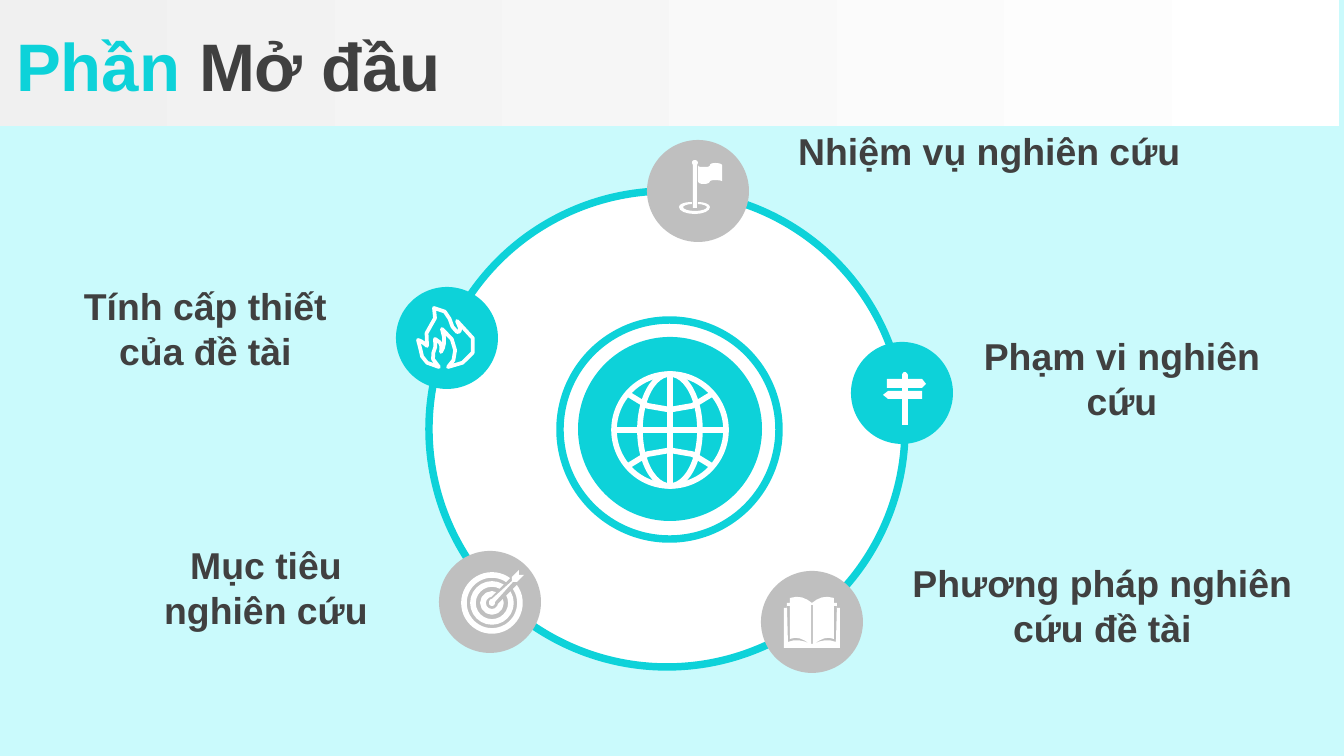
from dataclasses import dataclass

from lxml.etree import SubElement
from pptx import Presentation
from pptx.dml.color import RGBColor
from pptx.enum.shapes import MSO_CONNECTOR as Wire, MSO_SHAPE as Kind
from pptx.enum.text import MSO_ANCHOR as Anchor, MSO_AUTO_SIZE as Fit, PP_ALIGN as Align
from pptx.oxml.ns import qn
from pptx.util import Pt

SCALE = 914400 / 134.4
FONT = "Arial"
CYAN, GRAY, DARK, WHITE, PALE = "0DD2D9", "BFBFBF", "404040", "FFFFFF", "CAFAFC"
Point = tuple[float, float]
Loop = list[Point]


@dataclass
class Icon:
    x: int
    y: int
    loops: list[Loop]
    fill: str = WHITE
    line: str = ""
    width: int = 2
    close: bool = True


@dataclass
class Disc:
    x: int
    y: int
    w: int
    h: int
    fill: str
    line: str = ""
    width: int = 4


@dataclass
class Bar:
    start: tuple[int, int]
    end: tuple[int, int]
    line: str
    width: int


@dataclass
class Label:
    text: str
    x: int
    y: int
    w: int
    h: int
    align: Align = Align.CENTER


def emu(px: float) -> int:
    """Turn pixels into EMU."""
    return round(px * SCALE)


def color(code: str) -> RGBColor:
    """Turn a hex string into a colour."""
    return RGBColor.from_string(code)


def ring(x: int, y: int, r: int, fill: str, line: str = "", width: int = 4) -> Disc:
    """Describe a circle by its centre and radius."""
    return Disc(x - r, y - r, 2 * r, 2 * r, fill, line, width)


def trace(text: str) -> list[Loop]:
    """Flatten M, L and C steps into loops of points."""
    loops: list[Loop] = []
    for mark in "MLC":
        text = text.replace(mark, "|" + mark)
    for step in text.split("|")[1:]:
        pts = [tuple(int(n) for n in pair.split(",")) for pair in step[1:].split()]
        if step[0] == "M":
            loops.append(pts)
        elif step[0] == "L":
            loops[-1] += pts
        else:
            ends = [loops[-1][-1], *pts]
            for t in (0.25, 0.5, 0.75, 1):
                part = ((1 - t) ** 3, 3 * t * (1 - t) ** 2, 3 * t * t * (1 - t), t ** 3)
                loops[-1].append(tuple(sum(a * p[i] for a, p in zip(part, ends)) for i in (0, 1)))
    return loops


def flip(loops: list[Loop], sides: list[Point]) -> list[Loop]:
    """Repeat loops once for each pair of signs."""
    return [[(a * x, b * y) for x, y in loop] for a, b in sides for loop in loops]


def paint(shape, fill: str, line: str = "", width: int = 4) -> None:
    """Set fill and line without a shadow."""
    shape.shadow.inherit = False
    if fill:
        shape.fill.solid()
        shape.fill.fore_color.rgb = color(fill)
    else:
        shape.fill.background()
    if line:
        shape.line.color.rgb = color(line)
        shape.line.width = Pt(width)
    else:
        shape.line.fill.background()


def draw_disc(slide, disc: Disc) -> None:
    """Draw one ellipse."""
    box = emu(disc.x), emu(disc.y), emu(disc.w), emu(disc.h)
    paint(slide.shapes.add_shape(Kind.OVAL, *box), disc.fill, disc.line, disc.width)


def draw_bar(slide, bar: Bar) -> None:
    """Draw one straight line."""
    ends = [emu(n) for n in (*bar.start, *bar.end)]
    wire = slide.shapes.add_connector(Wire.STRAIGHT, *ends)
    wire.line.color.rgb = color(bar.line)
    wire.line.width = Pt(bar.width)
    SubElement(wire.element.spPr, qn("a:effectLst"))


def draw_icon(slide, icon: Icon) -> None:
    """Draw all loops of an icon as one freeform."""
    loops = [[(emu(icon.x + x), emu(icon.y + y)) for x, y in loop] for loop in icon.loops]
    pen = slide.shapes.build_freeform(*loops[0][0], scale=1)
    pen.add_line_segments(loops[0][1:], close=icon.close)
    for loop in loops[1:]:
        pen.move_to(*loop[0])
        pen.add_line_segments(loop[1:], close=icon.close)
    paint(pen.convert_to_shape(), icon.fill, icon.line, icon.width)


def draw_label(slide, label: Label) -> None:
    """Draw one bold caption."""
    box = emu(label.x), emu(label.y), emu(label.w), emu(label.h)
    frame = slide.shapes.add_textbox(*box).text_frame
    frame.word_wrap = True
    frame.auto_size = Fit.SHAPE_TO_FIT_TEXT
    para = frame.paragraphs[0]
    para.text, para.alignment = label.text, label.align
    font = para.font
    font.name, font.size, font.bold = FONT, Pt(20), True
    font.color.rgb = color(DARK)


def draw_head(slide) -> None:
    """Draw the gradient band and the two-colour title."""
    band = slide.shapes.add_shape(Kind.RECTANGLE, 0, 0, emu(1339), emu(126))
    paint(band, WHITE)
    band.fill.gradient()
    band.fill.gradient_angle = 0
    for stop, code, spot in zip(band.fill.gradient_stops, ("F0F0F0", WHITE), (0, 1)):
        stop.color.rgb, stop.position = color(code), spot
    slide.shapes.element.insert(2, band.element)

    title = slide.shapes.title
    title.left, title.top, title.width, title.height = emu(-16), emu(8), emu(1344), emu(114)
    frame = title.text_frame
    frame.auto_size, frame.vertical_anchor = Fit.NONE, Anchor.MIDDLE
    frame.margin_left = emu(32)
    para = frame.paragraphs[0]
    para.alignment = Align.LEFT
    para.font.name, para.font.size, para.font.bold = FONT, Pt(36), True
    for text, code in (("Phần ", CYAN), ("Mở đầu", DARK)):
        run = para.add_run()
        run.text = text
        run.font.color.rgb = color(code)


ARCS = flip(trace("M-42,-36 C-20,-15 20,-15 42,-36"), [(1, 1), (1, -1)])
PAGE = trace("M0,-19 C6,-24 13,-27 22,-24 L22,-19 25,-19 25,-14 28,-14 28,26 0,26"
             "M22,-16 L25,-16 24,20 C17,17 9,18 2,22 C9,17 15,14 22,17"
             "M0,-17 L1,-17 1,22 0,22")
BOOK = flip(PAGE, [(1, 1), (-1, 1)])
ARROW = trace("M29,-32 L29,-27 34,-27 27,-20 23,-20 5,0 C5,3 4,4 2,4 C0,4 -1,3 -1,1 "
              "C-1,-1 0,-3 2,-3 L22,-21 22,-25")
FLAG = trace("M-6,11 L-6,13 C-11,13 -15,15 -15,16 C-15,18 -10,20 -3,20 C4,20 9,18 9,16 "
             "C9,15 5,13 0,13 L0,11 C6,11 12,13 12,16 C12,20 5,23 -3,23 "
             "C-12,23 -19,20 -19,16 C-19,13 -14,11 -6,11"
             "M17,-28 C21,-28 24,-27 24,-26 L24,-10 C24,-10 21,-11 17,-11 "
             "C14,-11 12,-10 12,-10 C12,-8 9,-7 6,-7 C2,-7 0,-8 0,-10 L0,-26 "
             "C0,-24 2,-24 6,-24 C9,-24 12,-24 12,-26 C12,-27 14,-28 17,-28"
             "M-3,-31 C-2,-31 0,-30 0,-28 L-1,-26 -1,17 -5,17 -5,-26 -6,-28 "
             "C-6,-30 -5,-31 -3,-31")
SIGN = trace("M3,-21 C4,-21 6,-19 6,-17 L6,-14 20,-14 24,-9 20,-5 6,-5 6,-2 20,-2 20,6 "
             "6,6 6,32 0,32 0,6 -14,6 -19,2 -14,-2 0,-2 0,-5 -15,-5 -15,-14 0,-14 0,-17 "
             "C0,-19 1,-21 3,-21")
FIRE = trace("M-8,29 C-30,25 -24,14 -29,2 C-25,2 -18,11 -20,7 C-26,-13 -6,-13 -13,-30 "
             "C7,-29 1,-10 10,-6 C13,-6 15,-7 10,-17 C44,7 21,28 1,29 C10,23 13,3 -5,-9 "
             "C-1,3 -3,9 -6,14 C-6,11 -3,5 -12,1 C-8,13 -22,17 -8,29")

HUB = [Disc(429, 191, 476, 476, WHITE, CYAN), Disc(560, 320, 219, 219, WHITE, CYAN),
       Disc(578, 337, 184, 184, CYAN), ring(670, 430, 56, CYAN, WHITE, 3),
       Disc(640, 374, 60, 112, CYAN, WHITE, 3)]
AXES = [Bar((614, 430), (726, 430), WHITE, 3), Bar((670, 374), (670, 486), WHITE, 3)]
AIM = [ring(492, 603, r, GRAY, WHITE, 3) for r in (28, 19, 9)]
TRENCH = Bar((492, 603), (516, 579), GRAY, 5)
BADGES = [(Icon(812, 622, BOOK), GRAY), (Icon(447, 338, FIRE, CYAN, WHITE), CYAN),
          (Icon(698, 191, FLAG), GRAY), (Icon(902, 393, SIGN), CYAN)]
LABELS = [Label("Tính cấp thiết của đề tài", 36, 277, 339, 103),
          Label("Mục tiêu nghiên cứu", 112, 536, 308, 103),
          Label("Nhiệm vụ nghiên cứu", 785, 122, 418, 59, Align.LEFT),
          Label("Phạm vi nghiên cứu", 968, 327, 308, 103),
          Label("Phương pháp nghiên cứu đề tài", 899, 554, 407, 103)]


def main() -> None:
    """Build and save the slide."""
    deck = Presentation()
    deck.slide_width, deck.slide_height = emu(1344), emu(756)
    slide = deck.slides.add_slide(deck.slide_layouts[5])
    slide.background.fill.solid()
    slide.background.fill.fore_color.rgb = color(PALE)
    draw_head(slide)
    for disc in HUB:
        draw_disc(slide, disc)
    for axis in AXES:
        draw_bar(slide, axis)
    draw_icon(slide, Icon(670, 430, ARCS, "", WHITE, 3, False))
    for disc in [ring(490, 602, 51, GRAY), *AIM]:
        draw_disc(slide, disc)
    draw_bar(slide, TRENCH)
    draw_icon(slide, Icon(490, 602, ARROW))
    for icon, fill in BADGES:
        draw_disc(slide, ring(icon.x, icon.y, 51, fill))
        draw_icon(slide, icon)
    for label in LABELS:
        draw_label(slide, label)
    deck.save("out.pptx")


if __name__ == "__main__":
    main()
